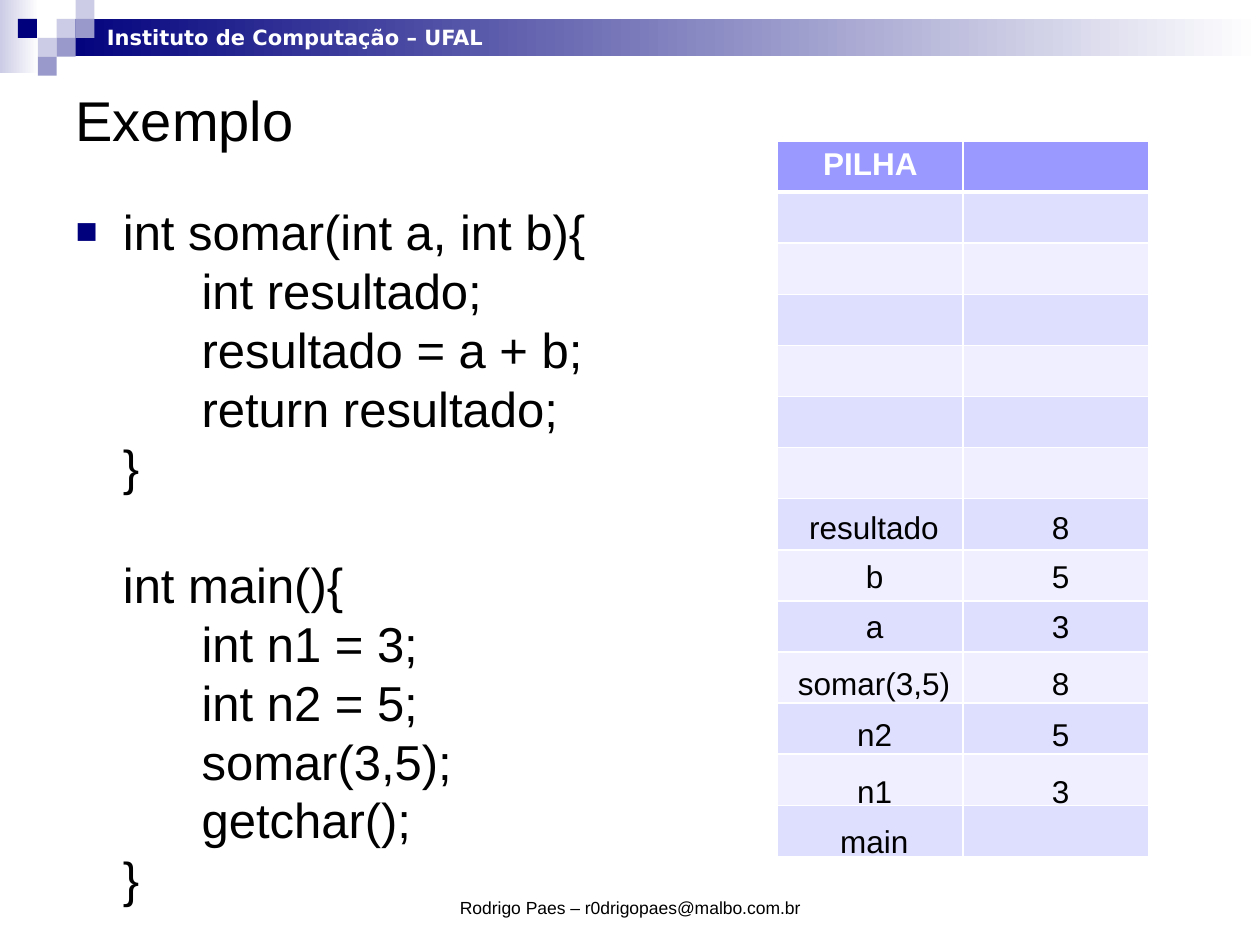
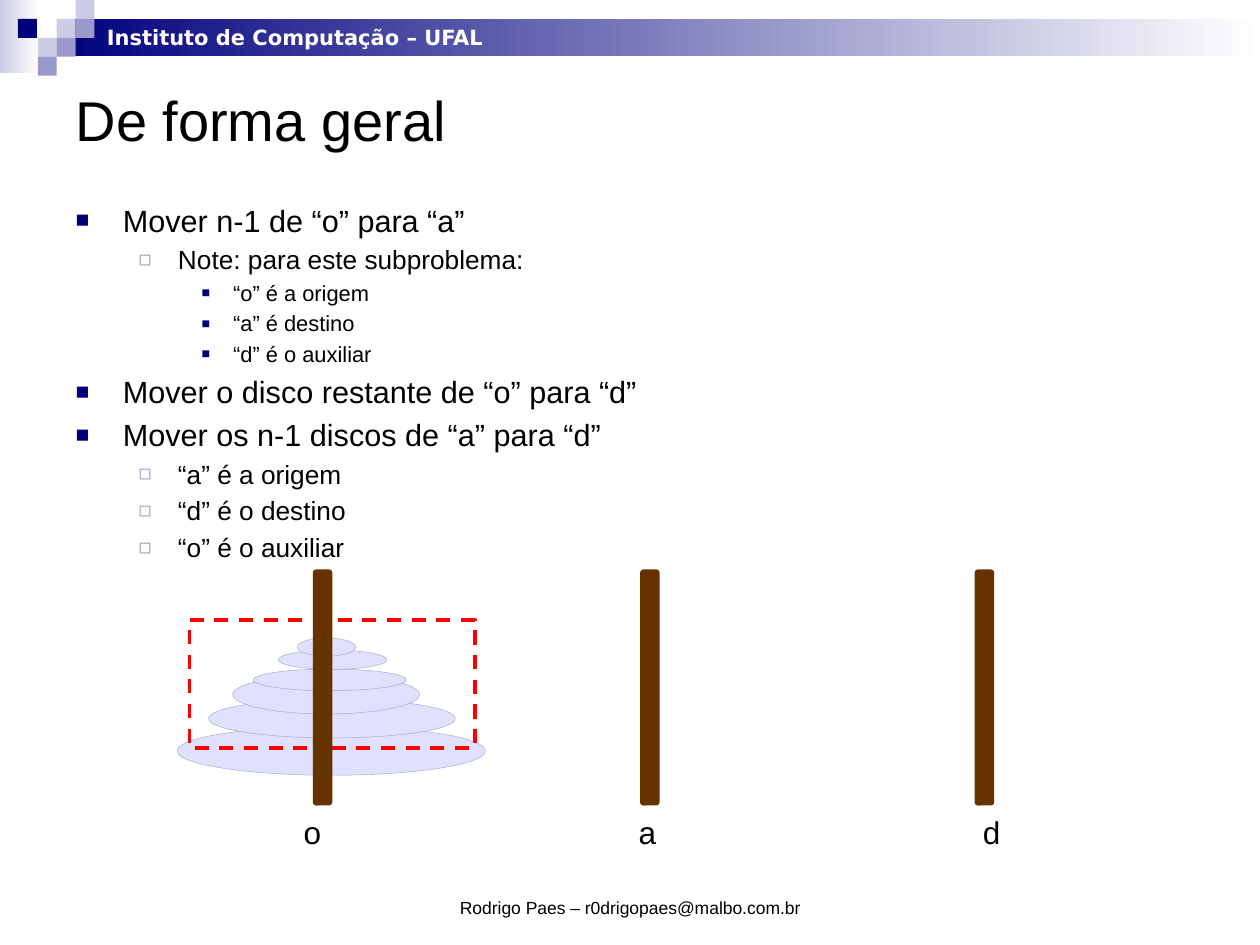
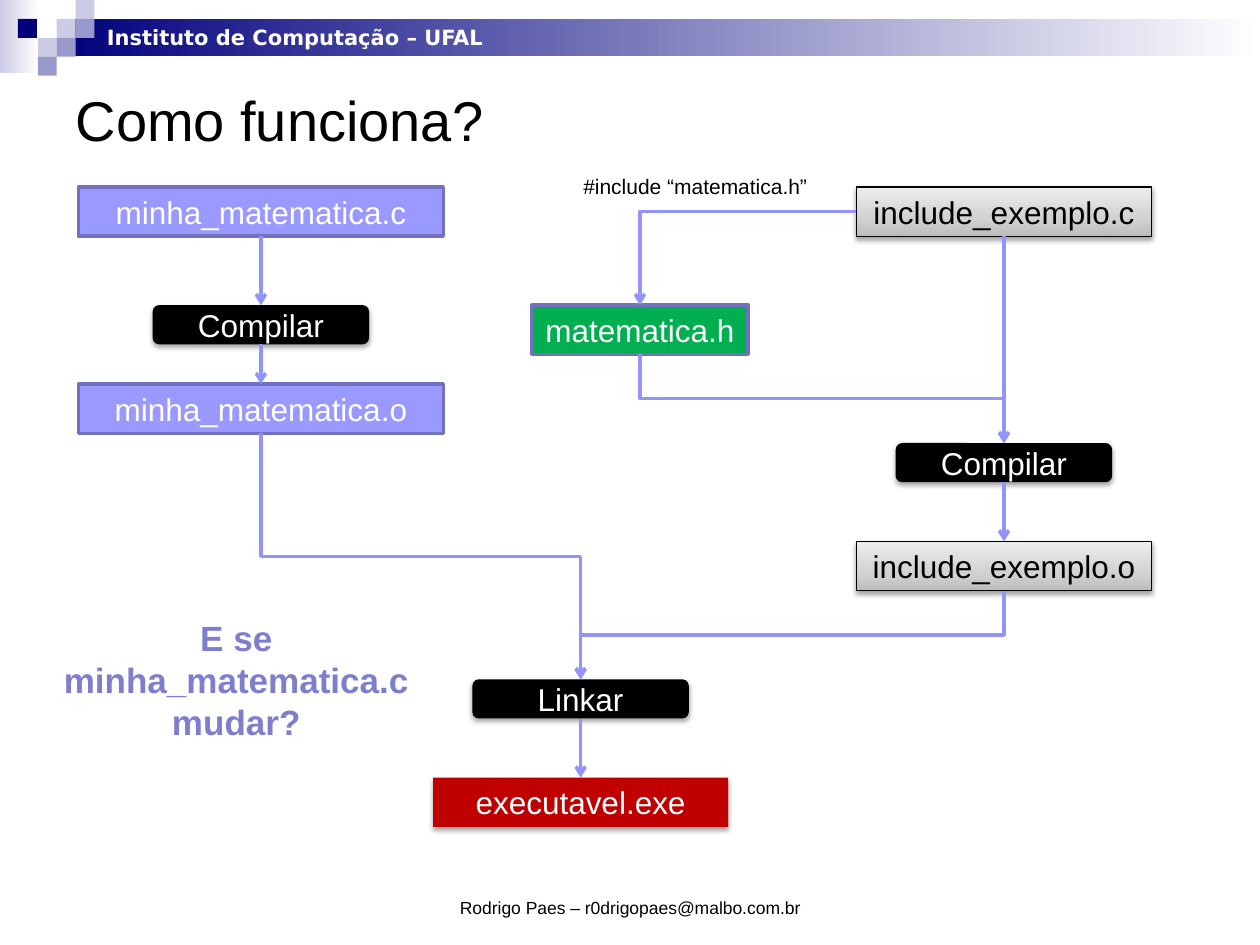
import pptx
import pptx.dml.color
import pptx.enum.dml
import pptx.enum.shapes
import pptx.enum.text
import pptx.oxml.ns
import pptx.util
from lxml import etree

Pt = pptx.util.Pt
RGB = pptx.dml.color.RGBColor
qn = pptx.oxml.ns.qn
SHAPE = pptx.enum.shapes.MSO_SHAPE
ALIGN = pptx.enum.text.PP_ALIGN
ANCHOR = pptx.enum.text.MSO_ANCHOR
AUTO = pptx.enum.text.MSO_AUTO_SIZE

BLACK = RGB(0x00, 0x00, 0x00)
WHITE = RGB(0xFF, 0xFF, 0xFF)
NAVY = RGB(0x00, 0x00, 0x7D)
LAVENDER = RGB(0x99, 0x99, 0xCC)
MIST = RGB(0xCC, 0xCC, 0xE6)
VIOLET = RGB(0x99, 0x99, 0xFF)
VIOLET_EDGE = RGB(0x71, 0x71, 0xBD)
ARROW = RGB(0x93, 0x93, 0xFC)
QUESTION = RGB(0x7E, 0x7E, 0xCE)
ROW_ODD = RGB(0xDE, 0xDE, 0xFF)
ROW_EVEN = RGB(0xEF, 0xEF, 0xFF)
DISC = RGB(0xE0, 0xE0, 0xFF)
DISC_EDGE = RGB(0xA6, 0xA6, 0xBF)
BROWN = RGB(0x66, 0x33, 0x00)
RED = RGB(0xFF, 0x00, 0x00)
DARK_RED = RGB(0xC0, 0x00, 0x00)
GREEN = RGB(0x00, 0xB0, 0x50)
GREYS = [(0, RGB(0xBD, 0xBD, 0xBD)), (35, RGB(0xD1, 0xD1, 0xD1)), (100, RGB(0xEE, 0xEE, 0xEE))]

FONT = "Arial"
HEADER = "Instituto de Computação – UFAL"
FOOTER = "Rodrigo Paes – r0drigopaes@malbo.com.br"
BULLETS = [
    (27, 27, "■", NAVY, 75),
    (58.5, 22.5, "◻", LAVENDER, 80),
    (90, 18, "■", NAVY, 65),
]
CODE = """int somar(int a, int b){
\tint resultado;
\tresultado = a + b;
\treturn resultado;
}

int main(){
\tint n1 = 3;
\tint n2 = 5;
\tsomar(3,5);
\tgetchar();
}"""
STACK = [
    ("resultado", 89.3, "8", 286.5),
    ("b", 24.5, "5", 315),
    ("a", 24.5, "3", 343.5),
    ("somar(3,5)", 102.2, "8", 375.8),
    ("n2", 34.6, "5", 405),
    ("n1", 34.6, "3", 437.8),
    ("main", 54, None, 466),
]
STEPS = [
    (0, "Mover n-1 de “o” para “a” "),
    (1, "Note: para este subproblema:"),
    (2, "“o” é a origem"),
    (2, "“a” é destino "),
    (2, "“d” é o auxiliar"),
    (0, "Mover o disco restante de “o” para “d”"),
    (0, "Mover os n-1 discos de “a” para “d”"),
    (1, "“a” é a origem"),
    (1, "“d” é o destino"),
    (1, "“o” é o auxiliar"),
]


def sub(parent, tag, **attrs):
    """Append a child element with the given attributes."""
    child = etree.SubElement(parent, qn(tag))
    for name, value in attrs.items():
        child.set(name, str(value))
    return child


def add_run(p, text, size, color=BLACK, bold=False, font=FONT):
    """Add one formatted run to a paragraph."""
    r = p.add_run()
    r.text = text
    r.font.size = Pt(size)
    r.font.name = font
    r.font.bold = bold
    r.font.color.rgb = color


def place(sp, left, top, width, height):
    """Move and size a shape, in points."""
    sp.left, sp.top, sp.width, sp.height = Pt(left), Pt(top), Pt(width), Pt(height)


def set_gradient(sp, stops, angle=0):
    """Fill a shape with a linear gradient of (percent, colour) stops."""
    sp.fill.gradient()
    sp.fill.gradient_angle = angle
    stop_list = sp.element.spPr.find(qn("a:gradFill")).find(qn("a:gsLst"))
    for stop in list(stop_list):
        stop_list.remove(stop)
    for percent, color in stops:
        sub(sub(stop_list, "a:gs", pos=percent * 1000), "a:srgbClr", val=color)


def add_shape(shapes, kind, left, top, width, height, fill=None, line=None, weight=2):
    """Add a flat preset shape; a list as fill means gradient stops."""
    sp = shapes.add_shape(kind, Pt(left), Pt(top), Pt(width), Pt(height))
    sp.shadow.inherit = False
    if fill is None:
        sp.fill.background()
    elif isinstance(fill, list):
        set_gradient(sp, fill)
    else:
        sp.fill.solid()
        sp.fill.fore_color.rgb = fill
    if line is None:
        sp.line.fill.background()
    else:
        sp.line.color.rgb = line
        sp.line.width = Pt(weight)
    return sp


def add_text(s, left, top, width, height, text, size=18, color=BLACK, bold=False,
             font=FONT, align=ALIGN.LEFT, anchor=ANCHOR.TOP, wrap=False):
    """Add a text box holding one paragraph."""
    sp = s.shapes.add_textbox(Pt(left), Pt(top), Pt(width), Pt(height))
    tf = sp.text_frame
    tf.word_wrap = wrap
    tf.vertical_anchor = anchor
    p = tf.paragraphs[0]
    p.alignment = align
    add_run(p, text, size, color, bold, font)
    return sp


def add_header(prs, s):
    """Draw the band and its squares, then hand them to the slide master."""
    unit = 10.8
    band = s.shapes.add_group_shape()
    add_shape(band.shapes, SHAPE.RECTANGLE, 0, 0, 22.3, 41.8, [(0, MIST), (100, WHITE)])
    add_shape(band.shapes, SHAPE.RECTANGLE, 3 * unit, unit, 720 - 3 * unit, 21.2,
              [(0, NAVY), (100, WHITE)])
    squares = [(3, 1, MIST), (4, 0, MIST), (4, 1, LAVENDER), (2, 2, MIST),
               (0.95, 1, NAVY), (3, 2, LAVENDER), (2, 3, LAVENDER)]
    for col, row, color in squares:
        add_shape(band.shapes, SHAPE.RECTANGLE, col * unit, row * unit, unit, unit, color)
    name = add_text(s, 54, 10.4, 233.3, 21.6, HEADER, 12, WHITE, True, "DejaVu Sans")
    for sp in (band, name):
        prs.slide_master.shapes.element.append(sp.element)


def add_slide(prs, layout, title):
    """Add a slide with its title and footer."""
    s = prs.slides.add_slide(prs.slide_layouts[layout])
    sp = s.shapes.title
    place(sp, 36, 36, 648, 64)
    tf = sp.text_frame
    tf.auto_size = AUTO.NONE
    tf.vertical_anchor = ANCHOR.MIDDLE
    p = tf.paragraphs[0]
    p.alignment = ALIGN.LEFT
    add_run(p, title, 32)
    add_text(s, 246, 492, 228, 36, FOOTER, 10, align=ALIGN.CENTER,
             anchor=ANCHOR.BOTTOM, wrap=True)
    return s


def get_body(s, height):
    """Place the body placeholder and return its text frame."""
    sp = s.placeholders[1]
    place(sp, 36, 111.6, 648, height)
    sp.text_frame.auto_size = AUTO.NONE
    return sp.text_frame


def set_bullet(p, level, size):
    """Give a paragraph the indent, bullet, tabs and spacing of its level."""
    margin, hang, char, color, percent = BULLETS[level]
    p.level = level
    p.space_before = Pt(size * 0.2)
    pPr = p._p.get_or_add_pPr()
    pPr.set("marL", str(Pt(margin)))
    pPr.set("indent", str(-Pt(hang)))
    pPr.set("defTabSz", str(Pt(72)))
    sub(sub(pPr, "a:buClr"), "a:srgbClr", val=color)
    sub(pPr, "a:buSzPct", val=percent * 1000)
    sub(pPr, "a:buFont", typeface=FONT)
    sub(pPr, "a:buChar", char=char)


def add_code(tf, code, size):
    """Write code as one bulleted paragraph with line breaks."""
    p = tf.paragraphs[0]
    set_bullet(p, 0, size)
    for i, line in enumerate(code.split("\n")):
        if i:
            p.add_line_break()
            sub(sub(p._p[-1], "a:rPr", sz=size * 100), "a:latin", typeface=FONT)
        if line:
            add_run(p, line, size)


def add_list(tf, items, sizes):
    """Write a list of (level, text) items."""
    for i, (level, text) in enumerate(items):
        p = tf.add_paragraph() if i else tf.paragraphs[0]
        set_bullet(p, level, sizes[level])
        add_run(p, text, sizes[level])


def set_borders(cell, bottom):
    """Draw white borders round a cell."""
    tcPr = cell._tc.get_or_add_tcPr()
    for i, (side, weight) in enumerate([("L", 1), ("R", 1), ("T", 1), ("B", bottom)]):
        ln = etree.Element(qn("a:ln" + side), w=str(Pt(weight)))
        sub(sub(ln, "a:solidFill"), "a:srgbClr", val=WHITE)
        tcPr.insert(i, ln)


def add_stack_table(s, rows, left, top, col_width, row_height):
    """Add the empty two-column stack with its heading."""
    frame = s.shapes.add_table(rows, 2, Pt(left), Pt(top), Pt(2 * col_width),
                               Pt(rows * row_height))
    table = frame.table
    for col in table.columns:
        col.width = Pt(col_width)
    for i, row in enumerate(table.rows):
        row.height = Pt(row_height)
        for cell in row.cells:
            cell.fill.solid()
            cell.fill.fore_color.rgb = (ROW_ODD if i % 2 else ROW_EVEN) if i else VIOLET
            set_borders(cell, 1 if i else 3)
    p = table.cell(0, 0).text_frame.paragraphs[0]
    p.alignment = ALIGN.CENTER
    add_run(p, "PILHA", 18, WHITE, True)


def add_shadow(sp):
    """Put a soft shadow below a shape."""
    effects = sp.element.spPr.find(qn("a:effectLst"))
    shadow = sub(effects, "a:outerShdw", blurRad=Pt(3.1), dist=Pt(1.7), dir=5400000,
                 rotWithShape=0)
    sub(sub(shadow, "a:srgbClr", val=BLACK), "a:alpha", val=36000)


def add_box(s, kind, center, top, width, height, text, fill, line=None, weight=2,
            color=WHITE, shadow=False):
    """Add a labelled box of the flow, centred on a column."""
    sp = add_shape(s.shapes, kind, center - width / 2, top, width, height, fill, line, weight)
    if isinstance(fill, list):
        sp.fill.gradient_angle = 90
    if shadow:
        add_shadow(sp)
    tf = sp.text_frame
    tf.word_wrap = False
    tf.vertical_anchor = ANCHOR.MIDDLE
    p = tf.paragraphs[0]
    p.alignment = ALIGN.CENTER
    add_run(p, text, 18, color)
    return sp


def connect(s, source, target, side=2):
    """Join a side of the source (1 left, 2 bottom) to the top of the target."""
    cx = s.shapes.add_connector(pptx.enum.shapes.MSO_CONNECTOR.ELBOW, 0, 0, 0, 0)
    cx.begin_connect(source, side)
    cx.end_connect(target, 0)
    x1, y1, x2, y2 = cx.begin_x, cx.begin_y, cx.end_x, cx.end_y
    spPr = cx.element.spPr
    xfrm = spPr.find(qn("a:xfrm"))
    for flip in ("flipH", "flipV"):
        xfrm.attrib.pop(flip, None)
    dx, dy = abs(x2 - x1), y2 - y1
    if side == 1:
        spPr.find(qn("a:prstGeom")).set("prst", "bentConnector2")
        cx.left, cx.top, cx.width, cx.height = x2, y1, dx, dy
        xfrm.set("rot", "10800000")
        xfrm.set("flipV", "1")
    else:
        cx.left, cx.top = (x1 + x2 - dy) // 2, (y1 + y2 - dx) // 2
        cx.width, cx.height = dy, dx
        xfrm.set("rot", "16200000" if x2 > x1 else "5400000")
        if x2 > x1:
            xfrm.set("flipH", "1")
    cx.line.color.rgb = ARROW
    cx.line.width = Pt(2)
    sub(spPr.find(qn("a:ln")), "a:tailEnd", type="arrow")
    sub(spPr, "a:effectLst")


def build_stack(s):
    """Fill the slide with the code and its call stack."""
    add_code(get_body(s, 374.4), CODE, 28)
    add_stack_table(s, 14, 444.4, 80.6, 106, 29.2)
    for name, width, value, top in STACK:
        add_text(s, 500 - width / 2, top, width, 28.8, name)
        if value:
            add_text(s, 594, top, 24.5, 28.8, value)


def add_discs(s, discs):
    """Add discs given as left, top, width, height."""
    for disc in discs:
        add_shape(s.shapes, SHAPE.OVAL, *disc, DISC, DISC_EDGE, 0.25)


def build_hanoi(s):
    """Fill the slide with the steps, the pegs and the discs."""
    add_list(get_body(s, 203.8), STEPS, [17.5, 15, 12.5])
    add_discs(s, [(101.2, 415.2, 176.2, 27.8), (119.2, 399.5, 141, 22.2)])
    frame = add_shape(s.shapes, SHAPE.RECTANGLE, 108.2, 354.2, 163.2, 73.2, None, RED)
    frame.line.dash_style = pptx.enum.dml.MSO_LINE.DASH
    add_discs(s, [(133, 385.8, 106.8, 22.2), (144.7, 382.3, 87.5, 12.4),
                  (159.1, 371.5, 61.9, 11), (169.9, 364.6, 33.3, 10.4)])
    for name, peg, label in [("o", 178.8, 166.4), ("a", 365.8, 357.9), ("d", 557, 554.5)]:
        add_shape(s.shapes, SHAPE.ROUNDED_RECTANGLE, peg, 325.4, 11.1, 134.9, BROWN)
        add_text(s, label, 461.2, 24.5, 28.8, name)


def build_flow(s):
    """Fill the slide with the compile and link flow."""
    own, header, example, link = 149.1, 365.7, 573.7, 331.8

    def file(center, top, width, text, *style, **more):
        """Add a file box."""
        return add_box(s, SHAPE.RECTANGLE, center, top, width, 28.2, text, *style, **more)

    def tool(center, top, text):
        """Add a tool box."""
        return add_box(s, SHAPE.ROUNDED_RECTANGLE, center, top, 123.7, 22.4, text, BLACK,
                       shadow=True)

    grey = dict(fill=GREYS, line=BLACK, weight=0.75, color=BLACK, shadow=True)
    own_c = file(own, 106.8, 208.5, "minha_matematica.c", VIOLET, VIOLET_EDGE)
    own_tool = tool(own, 174.4, "Compilar")
    own_o = file(own, 219.4, 208.5, "minha_matematica.o", VIOLET, VIOLET_EDGE)
    head = file(header, 174.3, 123.7, "matematica.h", GREEN, VIOLET_EDGE)
    example_c = file(example, 106.8, 168.6, "include_exemplo.c", **grey)
    example_tool = tool(example, 253.2, "Compilar")
    example_o = file(example, 309.4, 168.6, "include_exemplo.o", **grey)
    linker = tool(link, 388.2, "Linkar")
    program = file(link, 444.3, 168.6, "executavel.exe", DARK_RED, shadow=True)

    connect(s, example_c, head, 1)
    for source, target in [(own_c, own_tool), (own_tool, own_o), (own_o, linker),
                           (example_c, example_tool), (head, example_tool),
                           (example_tool, example_o), (example_o, linker),
                           (linker, program)]:
        connect(s, source, target)
    add_text(s, 326.2, 95.8, 143.3, 21.6, "#include “matematica.h”", 12)
    add_text(s, 11.2, 348.5, 247.7, 80, "E se minha_matematica.c mudar?", 20, QUESTION,
             True, align=ALIGN.CENTER, wrap=True)


def main():
    """Build the three slides and save them."""
    prs = pptx.Presentation()
    prs.slide_width, prs.slide_height = Pt(720), Pt(540)
    s = add_slide(prs, 1, "Exemplo")
    add_header(prs, s)
    build_stack(s)
    build_hanoi(add_slide(prs, 1, "De forma geral"))
    build_flow(add_slide(prs, 5, "Como funciona?"))
    prs.save("out.pptx")


main()
